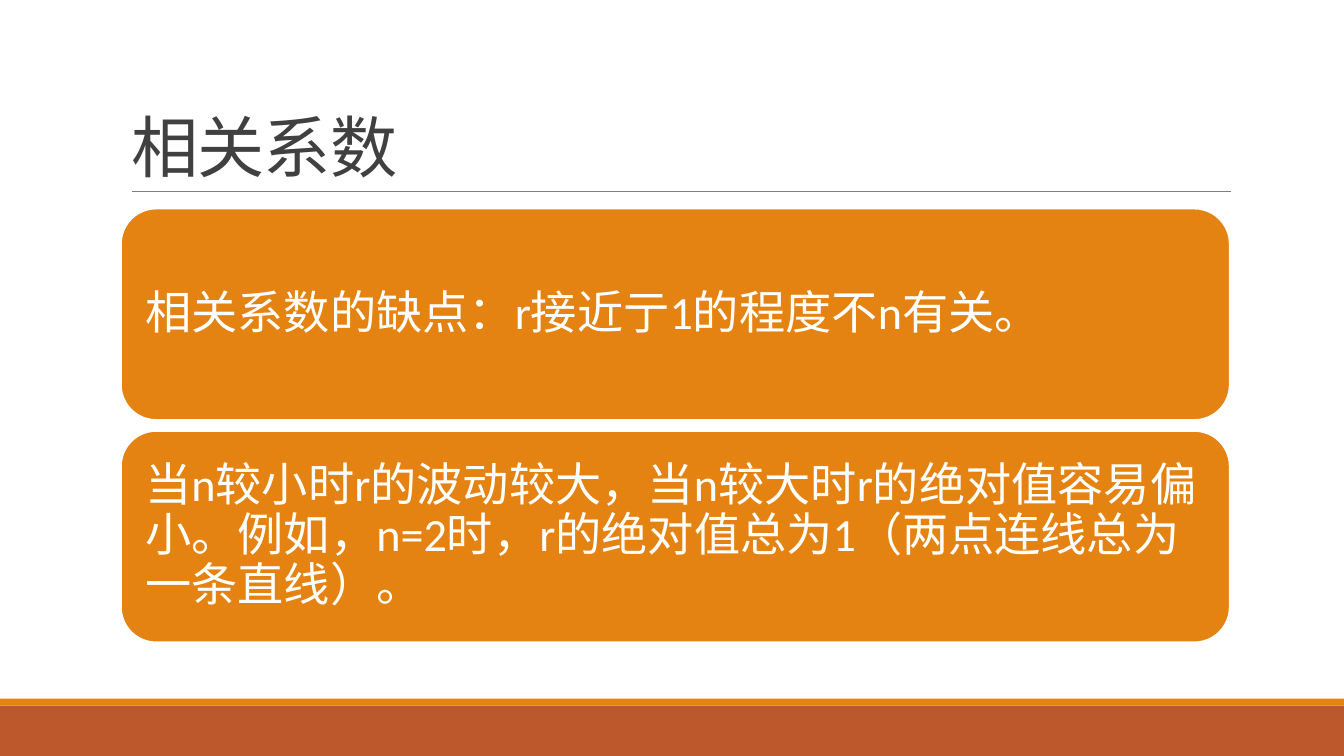
from dataclasses import dataclass

from pptx import Presentation
from pptx import util as u
from pptx.dml.color import RGBColor
from pptx.enum import shapes, text
from pptx.oxml.ns import qn
from lxml import etree


@dataclass(frozen=True)
class Theme:
    font: str = "Calibri"
    title_size: float = 48
    card_size: float = 33
    ink: str = "404040"
    paper: str = "FFFFFF"
    accent: str = "E48312"
    footer: str = "BD582C"
    rule: str = "808080"


class SlideBuilder:
    def __init__(self, slide, theme):
        self.slide = slide
        self.theme = theme

    def set_wording(self, shape, wording, size, color, spacing, anchor):
        frame = shape.text_frame
        frame.text = wording
        frame.word_wrap = True
        frame.auto_size = text.MSO_AUTO_SIZE.NONE
        frame.vertical_anchor = anchor
        paragraph = frame.paragraphs[0]
        paragraph.alignment = text.PP_ALIGN.LEFT
        paragraph.line_spacing = spacing
        font = paragraph.runs[0].font
        font.name = self.theme.font
        font.size = u.Pt(size)
        font.color.rgb = RGBColor.from_string(color)
        return paragraph.runs[0]

    def block(self, kind, left, top, width, height, color):
        shape = self.slide.shapes.add_shape(
            kind, u.Pt(left), u.Pt(top), u.Pt(width), u.Pt(height))
        shape.shadow.inherit = False
        shape.fill.solid()
        shape.fill.fore_color.rgb = RGBColor.from_string(color)
        shape.line.fill.background()
        return shape

    def band(self, top, height, color):
        self.block(shapes.MSO_SHAPE.RECTANGLE, 0, top, 960, height, color)

    def rule(self, left, right, top):
        line = self.slide.shapes.add_connector(
            shapes.MSO_CONNECTOR.STRAIGHT,
            u.Pt(left), u.Pt(top), u.Pt(right), u.Pt(top))
        line.line.color.rgb = RGBColor.from_string(self.theme.rule)
        line.line.width = u.Pt(0.5)
        etree.SubElement(line._element.spPr, qn("a:effectLst"))

    def title(self, wording, left, top, width, height):
        title = self.slide.shapes.title
        title.left, title.top = u.Pt(left), u.Pt(top)
        title.width, title.height = u.Pt(width), u.Pt(height)
        run = self.set_wording(title, wording, self.theme.title_size,
                               self.theme.ink, 0.85, text.MSO_ANCHOR.BOTTOM)
        run._r.get_or_add_rPr().set("spc", "-50")

    def card(self, wording, left, top, width, height):
        card = self.block(shapes.MSO_SHAPE.ROUNDED_RECTANGLE,
                          left, top, width, height, self.theme.accent)
        card.line.color.rgb = RGBColor.from_string(self.theme.paper)
        card.line.width = u.Pt(1.25)
        frame = card.text_frame
        frame.margin_left = frame.margin_right = u.Pt(10)
        frame.margin_top = frame.margin_bottom = u.Pt(10)
        self.set_wording(card, wording, self.theme.card_size,
                         self.theme.paper, 0.9, text.MSO_ANCHOR.MIDDLE)


def main():
    presentation = Presentation()
    presentation.slide_width = u.Pt(960)
    presentation.slide_height = u.Pt(540)
    theme = Theme()
    slide = presentation.slides.add_slide(presentation.slide_layouts[5])
    builder = SlideBuilder(slide, theme)

    builder.band(504, 36, theme.footer)
    builder.band(499, 5, theme.accent)
    builder.rule(94.3, 879, 136.6)
    left, width = 86.4, 792
    builder.title("相关系数", left, 22.5, width, 114.2)

    statements = (
        "相关系数的缺点：r接近亍1的程度不n有关。",
        "当n较小时r的波动较大，当n较大时r的绝对值容易偏小。"
        "例如，n=2时，r的绝对值总为1（两点连线总为一条直线）。",
    )
    first_top, card_height, gap = 149, 151, 7.8
    for index, statement in enumerate(statements):
        top = first_top + index * (card_height + gap)
        builder.card(statement, left, top, width, card_height)

    presentation.save("out.pptx")


if __name__ == "__main__":
    main()
